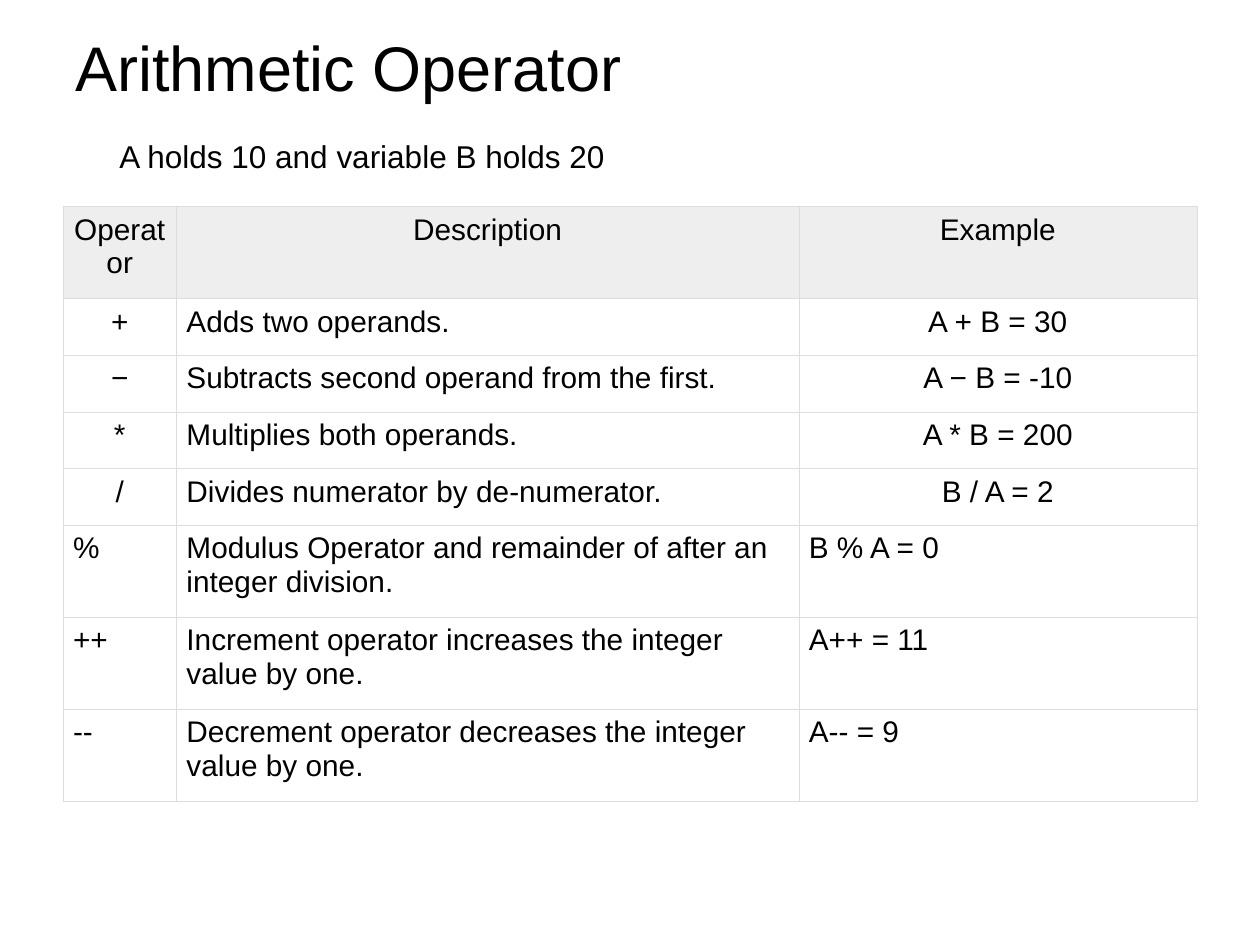
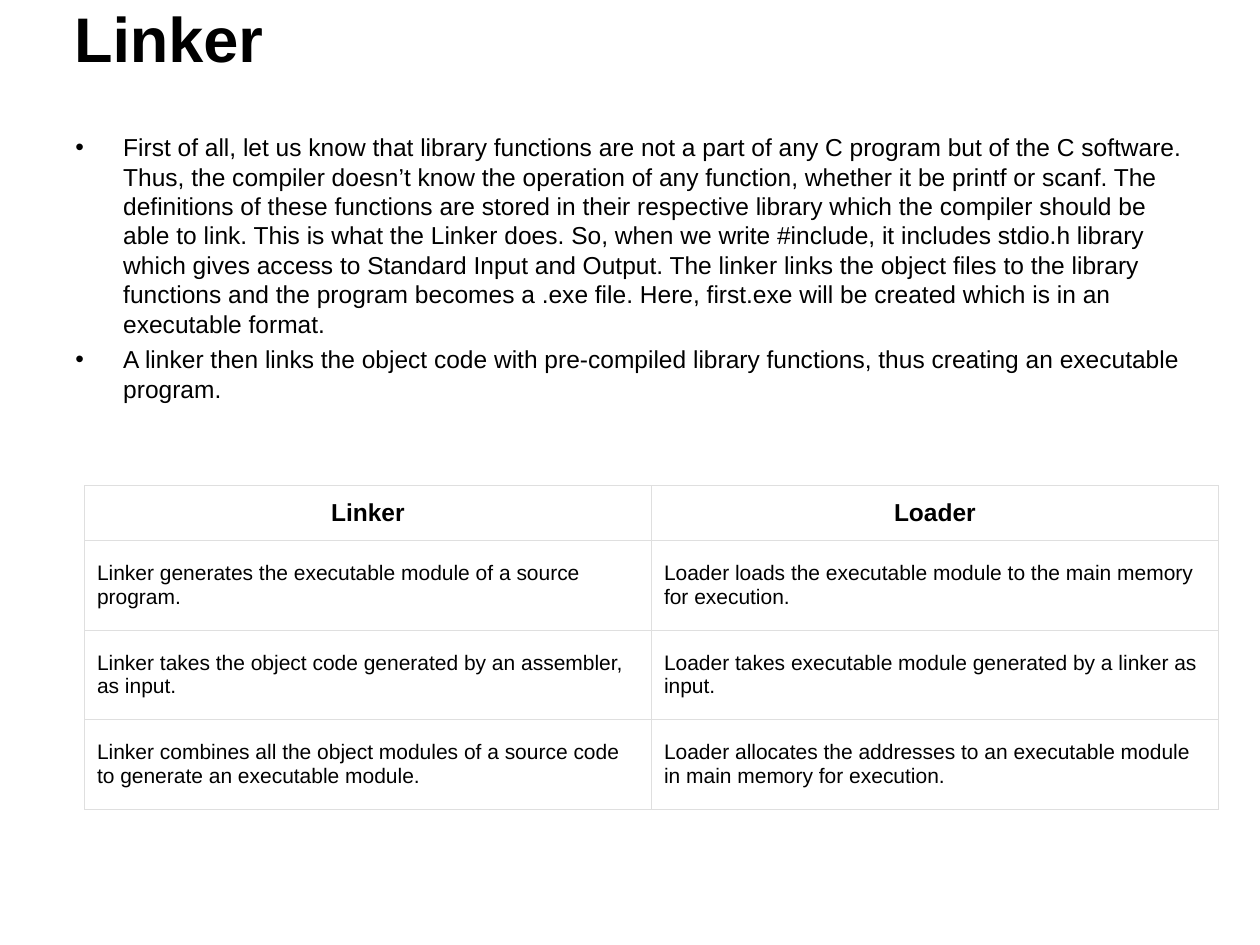
from lxml import etree
from pptx import Presentation, util as u
from pptx.dml.color import RGBColor
from pptx.enum import text
from pptx.oxml import ns

BLACK = RGBColor(0x00, 0x00, 0x00)
WHITE = RGBColor(0xFF, 0xFF, 0xFF)
HEADER_GREY = RGBColor(0xEE, 0xEE, 0xEE)
GRID_GREY = RGBColor(0xDD, 0xDD, 0xDD)
GRID_LIGHT = RGBColor(0xDF, 0xDF, 0xDF)
FONT = "Arial"
CENTER = text.PP_ALIGN.CENTER
LEFT = text.PP_ALIGN.LEFT
TOP = text.MSO_ANCHOR.TOP
MIDDLE = text.MSO_ANCHOR.MIDDLE


def write(p, words, size, bold=False, align=LEFT):
    p.text = words
    p.alignment = align
    f = p.font
    for name, value in {"name": FONT, "size": u.Pt(size), "bold": bold}.items():
        setattr(f, name, value)
    f.color.rgb = BLACK


def add_grid(s, left, top, widths, heights, line_color, line_pt):
    table = s.shapes.add_table(
        len(heights), len(widths), u.Inches(left), u.Inches(top),
        u.Inches(sum(widths)), u.Inches(sum(heights))).table
    table.first_row = table.horz_banding = False
    for col, width in zip(table.columns, widths):
        col.width = u.Inches(width)
    for row, height in zip(table.rows, heights):
        row.height = u.Inches(height)
    for cell in table.iter_cells():
        tc_pr = cell._tc.get_or_add_tcPr()
        for side in ("lnL", "lnR", "lnT", "lnB"):
            ln = etree.SubElement(tc_pr, ns.qn(f"a:{side}"), w=str(u.Pt(line_pt)))
            fill = etree.SubElement(ln, ns.qn("a:solidFill"))
            etree.SubElement(fill, ns.qn("a:srgbClr"), val=str(line_color))
    return table


prs = Presentation()
prs.slide_width, prs.slide_height = u.Inches(10), u.Inches(7.5)

# Slides with their titles
titles = [("Arithmetic Operator", 0.5, 0.21, 0.64, False),
          ("Linker", 0.49, 0.07, 0.46, True)]
slides = []
for words, left, top, height, bold in titles:
    s = prs.slides.add_slide(prs.slide_layouts[6])
    tf = s.shapes.add_textbox(u.Inches(left), u.Inches(top),
                              u.Inches(9), u.Inches(height)).text_frame
    tf.word_wrap = True
    tf.vertical_anchor = MIDDLE
    write(tf.paragraphs[0], words, 36, bold)
    slides.append(s)
arithmetic, linker = slides

# Arithmetic operators table
operators = [
    ("Operator", "Description", "Example"),
    ("+", "Adds two operands.", "A + B = 30"),
    ("−", "Subtracts second operand from the first.", "A − B = -10"),
    ("*", "Multiplies both operands.", "A * B = 200"),
    ("/", "Divides numerator by de-numerator.", "B / A = 2"),
    ("%", "Modulus Operator and remainder of after an integer division.", "B % A = 0"),
    ("++", "Increment operator increases the integer value by one.", "A++ = 11"),
    ("--", "Decrement operator decreases the integer value by one.", "A-- = 9"),
]
heights = [0.73] + [0.45] * 4 + [0.73] * 3
table = add_grid(arithmetic, 0.5, 1.64, [0.9, 4.94, 3.16], heights, GRID_GREY, 0.34)
for i, row in enumerate(operators):
    for j, words in enumerate(row):
        cell = table.cell(i, j)
        cell.margin_left = cell.margin_right = u.Inches(0.08)
        cell.vertical_anchor = TOP
        if i == 0:
            cell.fill.solid()
            cell.fill.fore_color.rgb = HEADER_GREY
        else:
            cell.fill.background()
        centred = i == 0 or (i <= 4 and j != 1)
        write(cell.text_frame.paragraphs[0], words, 17, align=CENTER if centred else LEFT)

# Values used in the examples
tf = arithmetic.shapes.add_textbox(u.Inches(0.85), u.Inches(1.04),
                                   u.Inches(4.06), u.Inches(0.4)).text_frame
tf.word_wrap = False
tf.auto_size = text.MSO_AUTO_SIZE.SHAPE_TO_FIT_TEXT
write(tf.paragraphs[0], "A holds 10 and variable B holds 20", 18)

# Linker bullets
bullets = [
    "First of all, let us know that library functions are not a part of any C program "
    "but of the C software. Thus, the compiler doesn’t know the operation of any function, "
    "whether it be printf or scanf. The definitions of these functions are stored in their "
    "respective library which the compiler should be able to link. This is what the Linker "
    "does. So, when we write #include, it includes stdio.h library which gives access to "
    "Standard Input and Output. The linker links the object files to the library functions "
    "and the program becomes a .exe file. Here, first.exe will be created which is in an "
    "executable format.",
    "A linker then links the object code with pre-compiled library functions, thus creating "
    "an executable program.",
]
tf = linker.shapes.add_textbox(u.Inches(0.5), u.Inches(1),
                               u.Inches(9), u.Inches(5.7)).text_frame
tf.word_wrap = True
for i, words in enumerate(bullets):
    p = tf.add_paragraph() if i else tf.paragraphs[0]
    p_pr = p._p.get_or_add_pPr()
    p_pr.set("marL", str(u.Inches(0.38)))
    p_pr.set("indent", str(u.Inches(-0.38)))
    if i:
        p.space_before = u.Pt(3.5)
    etree.SubElement(p_pr, ns.qn("a:buFont"), typeface=FONT)
    etree.SubElement(p_pr, ns.qn("a:buChar"), char="•")
    write(p, words, 14)

# Linker and loader comparison
comparison = [
    ("Linker", "Loader"),
    ("Linker generates the executable module of a source program.",
     "Loader loads the executable module to the main memory for execution."),
    ("Linker takes the object code generated by an assembler, as input.",
     "Loader takes executable module generated by a linker as input."),
    ("Linker combines all the object modules of a source code to generate an executable module.",
     "Loader allocates the addresses to an executable module in main memory for execution."),
]
table = add_grid(linker, 0.67, 3.85, [4.5] * 2, [0.44] + [0.71] * 3, GRID_LIGHT, 0.11)
for i, row in enumerate(comparison):
    for j, words in enumerate(row):
        cell = table.cell(i, j)
        cell.vertical_anchor = MIDDLE
        cell.fill.solid()
        cell.fill.fore_color.rgb = WHITE
        p = cell.text_frame.paragraphs[0]
        if i == 0:
            write(p, words, 14, True, CENTER)
        else:
            write(p, words, 12)

prs.save("out.pptx")
